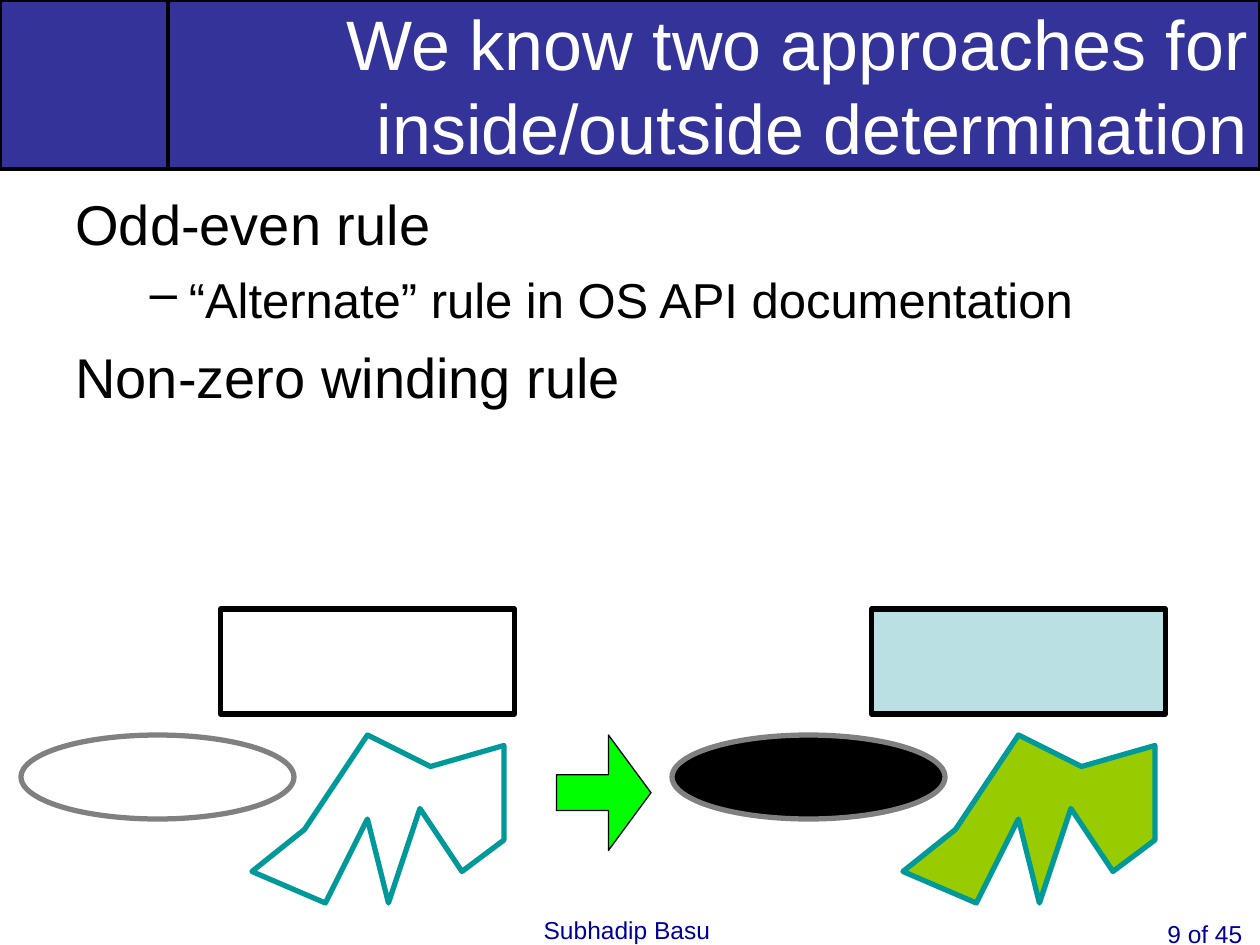
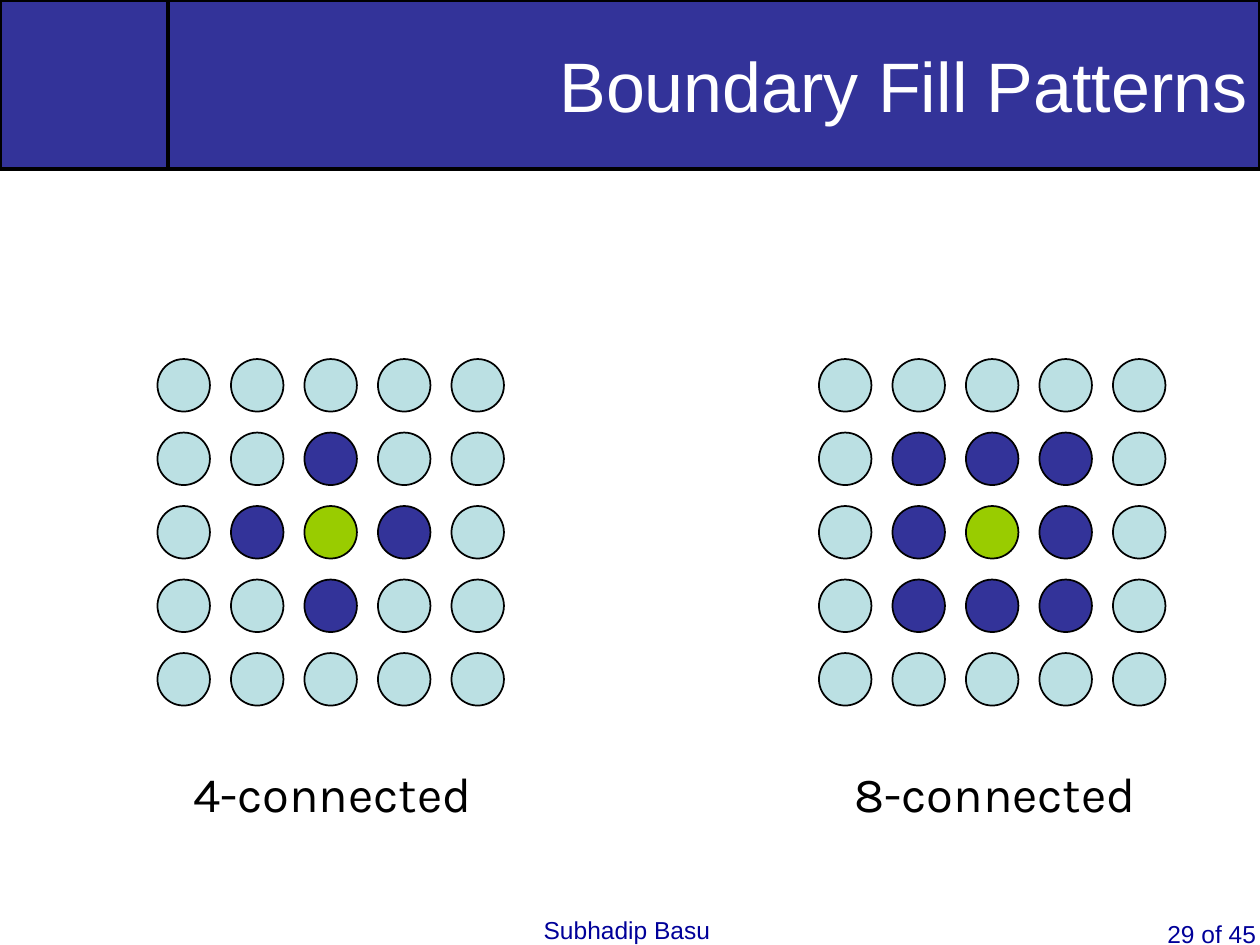
from lxml.etree import SubElement
from pptx import Presentation
from pptx.dml.color import RGBColor
from pptx.enum.shapes import MSO_SHAPE as Shape
from pptx.enum.text import MSO_ANCHOR as Anchor, MSO_AUTO_SIZE as AutoSize, PP_ALIGN as Align
from pptx.oxml.ns import qn
from pptx.util import Emu, Pt

PX = 7620  # EMU per px, 120 px to the inch
COLORS = {
    "band": "333399", "footer": "000099", "white": "FFFFFF", "black": "000000",
    "pale": "BBE0E3", "gray": "808080", "teal": "009999", "olive": "99CC00",
    "green": "00FF00",
}
PAGE_COUNT = 45
BAND_HEIGHT = 161


def px(*lengths):
    return [Emu(length * PX) for length in lengths]


def color(name):
    return RGBColor.from_string(COLORS[name])


class Deck:
    font = "Arial"

    def __init__(self):
        self.presentation = Presentation()
        self.presentation.slide_width, self.presentation.slide_height = px(1200, 900)
        self.slide = None

    def add_slide(self, title, number):
        """Start a slide with the shared band, title and footers."""
        layout = self.presentation.slide_layouts.get_by_name("Title Only")
        self.slide = self.presentation.slides.add_slide(layout)
        self.shape(Shape.RECTANGLE, (0, 0, 160, BAND_HEIGHT), "band", "black", 2)
        self.title(title)
        self.text(f"{number} of {PAGE_COUNT}", (1100, 869, 118, 68), 14, "footer", wrap=True)
        self.text("Subhadip Basu", (506, 866, 190, 41), 14, "footer")

    def title(self, text):
        shape = self.slide.shapes.title
        shape.left, shape.top, shape.width, shape.height = px(160, 0, 1040, BAND_HEIGHT)
        self.paint(shape, "band", "black", 2)
        frame = shape.text_frame
        frame.text = text
        frame.auto_size = AutoSize.NONE
        frame.vertical_anchor = Anchor.MIDDLE
        paragraph = frame.paragraphs[0]
        paragraph.alignment = Align.RIGHT
        self.style(paragraph, 40, "white")

    def paint(self, shape, fill, line, width):
        if fill:
            shape.fill.solid()
            shape.fill.fore_color.rgb = color(fill)
        else:
            shape.fill.background()
        shape.line.color.rgb = color(line)
        shape.line.width = Pt(width)

    def style(self, paragraph, size, ink, font=None):
        paragraph.font.name = font or self.font
        paragraph.font.size = Pt(size)
        paragraph.font.color.rgb = color(ink)

    def shape(self, kind, box, fill, line, width, group=None):
        shapes = (group or self.slide).shapes
        shape = shapes.add_shape(kind, *px(*box))
        shape.shadow.inherit = False
        self.paint(shape, fill, line, width)
        return shape

    def polygon(self, points, fill, line, width):
        builder = self.slide.shapes.build_freeform(*points[0], scale=PX)
        builder.add_line_segments(points[1:], close=True)
        shape = builder.convert_to_shape()
        shape.shadow.inherit = False
        self.paint(shape, fill, line, width)

    def text(self, text, box, size, ink, font=None, wrap=False):
        frame = self.slide.shapes.add_textbox(*px(*box)).text_frame
        frame.word_wrap = wrap
        frame.auto_size = AutoSize.SHAPE_TO_FIT_TEXT
        frame.text = text
        self.style(frame.paragraphs[0], size, ink, font)

    def outline(self, items, box):
        """Write (level, text) items; level 1 gets a dash."""
        frame = self.slide.shapes.add_textbox(*px(*box)).text_frame
        frame.word_wrap = True
        frame.text = "\n".join(text for _, text in items)
        for index, (level, _) in enumerate(items):
            paragraph = frame.paragraphs[index]
            paragraph.level = level
            if index:
                paragraph.space_before = Pt(8 - level)
            if level:
                self.dash(paragraph)
            self.style(paragraph, 32 - 4 * level, "black")

    def dash(self, paragraph):
        margin, indent = px(108, -37)
        properties = paragraph._p.get_or_add_pPr()
        properties.set("marL", str(margin))
        properties.set("indent", str(indent))
        bullet_color = SubElement(properties, qn("a:buClr"))
        SubElement(bullet_color, qn("a:srgbClr"), val=COLORS["black"])
        SubElement(properties, qn("a:buChar"), char="–")

    def dot_grid(self, left, top, fill_for):
        """Draw 5 by 5 dots; fill_for maps offsets from the centre to a colour."""
        group = self.slide.shapes.add_group_shape()
        for row in range(5):
            for column in range(5):
                box = (left + 70 * column, top + 70 * row, 50, 50)
                fill = fill_for(abs(column - 2), abs(row - 2))
                self.shape(Shape.OVAL, box, fill, "black", 1, group)


def four_connected(dx, dy):
    return {0: "olive", 1: "band"}.get(dx + dy, "pale")


def eight_connected(dx, dy):
    return {0: "olive", 1: "band"}.get(max(dx, dy), "pale")


ZIGZAG = [(290, 790), (350, 700), (410, 730), (480, 710), (480, 800), (440, 830),
          (400, 770), (370, 860), (350, 780), (310, 860), (240, 830)]


def main():
    deck = Deck()

    # Inside/outside rules, with outlines turning into filled shapes
    deck.add_slide("We know two approaches for inside/outside determination", 9)
    deck.outline([(0, "Odd-even rule"),
                  (1, "“Alternate” rule in OS API documentation"),
                  (0, "Non-zero winding rule")], (60, 175, 1080, 382))
    for shift, fills in ((620, ("pale", "black", "olive")), (0, (None, None, None))):
        rectangle_fill, ellipse_fill, zigzag_fill = fills
        deck.shape(Shape.RECTANGLE, (210 + shift, 580, 280, 100), rectangle_fill, "black", 3)
        deck.shape(Shape.OVAL, (20 + shift, 700, 260, 80), ellipse_fill, "gray", 3)
        deck.polygon([(x + shift, y) for x, y in ZIGZAG], zigzag_fill, "teal", 3)
    arrow = deck.shape(Shape.RIGHT_ARROW, (530, 700, 90, 110), "green", "black", 0.75)
    arrow.adjustments[0] = 0.31
    arrow.adjustments[1] = 0.45

    # Neighbour patterns
    deck.add_slide("Boundary Fill Patterns", 29)
    for left, label, fill_for in ((150, "4-connected", four_connected),
                                  (780, "8-connected", eight_connected)):
        deck.dot_grid(left, 342, fill_for)
        deck.text(label, (left + 22, 721, 294, 68), 28, "black", "Karla")

    deck.presentation.save("out.pptx")


if __name__ == "__main__":
    main()
